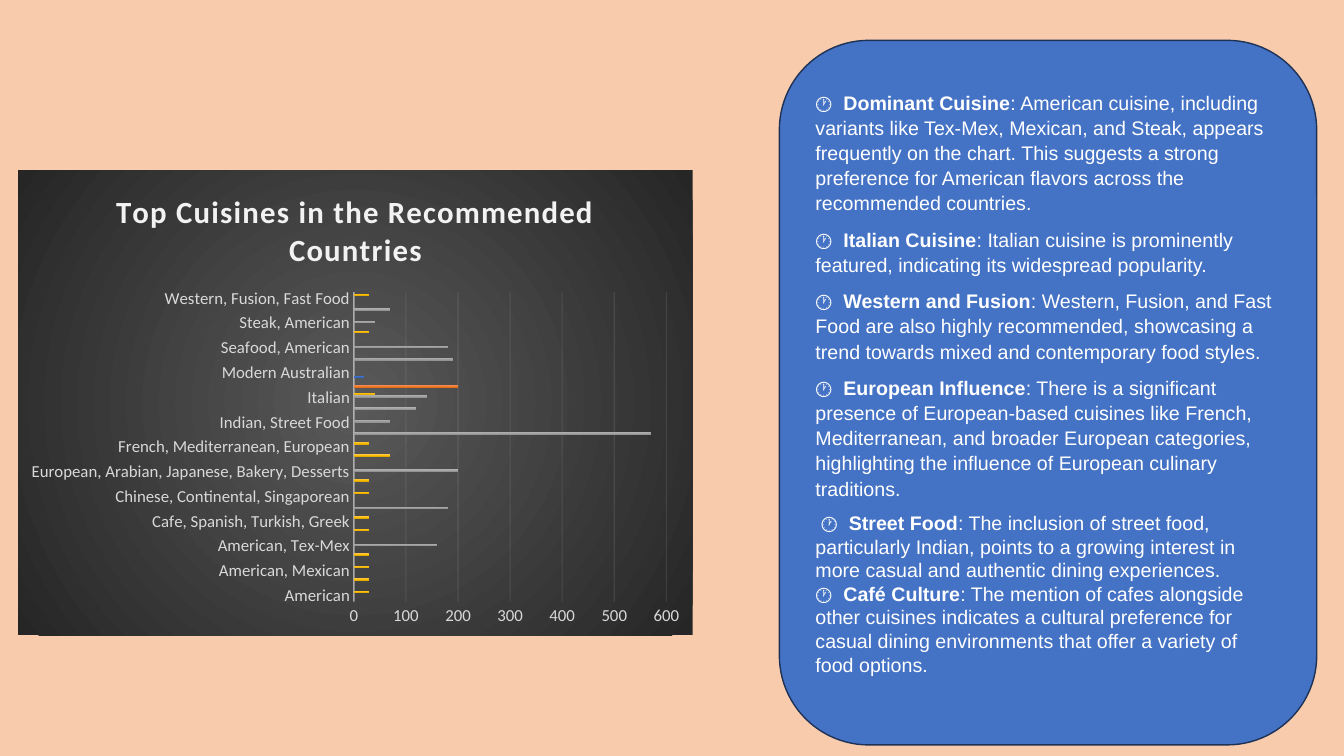
from dataclasses import dataclass
from lxml import etree
from pptx import Presentation
from pptx.chart.data import CategoryChartData as Data
from pptx.dml.color import RGBColor as Rgb
from pptx.enum.chart import XL_CHART_TYPE as Kind, XL_TICK_MARK as Tick
from pptx.enum.shapes import MSO_SHAPE as Shape
from pptx.enum.text import MSO_ANCHOR as Anchor, PP_ALIGN as Align
from pptx.oxml import parse_xml
from pptx.oxml.ns import qn
from pptx.util import Inches, Pt


@dataclass(frozen=True)
class Theme:
    back: str = "F8CBAD"
    card: str = "4472C4"
    edge: str = "1E3256"
    white: str = "FFFFFF"
    title: str = "F2F2F2"
    label: str = "D9D9D9"
    dark: tuple = ("595959", "262626")
    bars: tuple = (("6183CB", "3E70CA", "3062BB"),
                   ("F18C57", "F67B28", "E56C19"),
                   ("AFAFAF", "A5A5A5", "939393"),
                   ("FFC64B", "FFC000", "E3AB00"))
    body_font: str = "Arial"
    chart_font: str = "Calibri"
    title_size: int = 22
    label_size: int = 12
    body_size: int = 14


THEME = Theme()
TITLE = "Top Cuisines in the Recommended Countries"

# Cuisine, then {series number: value}
CUISINES = [
    ("American", {4: 30}),
    ("American, Japanese, Singaporean", {4: 30}),
    ("American, Mexican", {4: 30}),
    ("American, Steak", {4: 30}),
    ("American, Tex-Mex", {3: 160}),
    ("Asian, Continental, Seafood", {4: 30}),
    ("Cafe, Spanish, Turkish, Greek", {4: 30}),
    ("Chinese", {3: 180}),
    ("Chinese, Continental, Singaporean", {4: 30}),
    ("Chinese, Seafood, Cantonese, Dim Sum", {4: 30}),
    ("European, Arabian, Japanese, Bakery, Desserts", {3: 200}),
    ("French", {4: 70}),
    ("French, Mediterranean, European", {4: 30}),
    ("Indian", {3: 570}),
    ("Indian, Street Food", {3: 70}),
    ("International", {3: 120}),
    ("Italian", {3: 140, 4: 40}),
    ("Italian, Mediterranean, Pizza", {2: 200}),
    ("Modern Australian", {1: 20}),
    ("Pakistani", {3: 190}),
    ("Seafood, American", {3: 180}),
    ("Singaporean, Australian, German", {4: 30}),
    ("Steak, American", {3: 40}),
    ("Thai", {3: 70}),
    ("Western, Fusion, Fast Food", {4: 30}),
]

# Mark, heading, text, spaced out or tight
NOTES = [
    ("🕐  ", "Dominant Cuisine",
     "American cuisine, including variants like Tex-Mex, Mexican, and Steak, "
     "appears frequently on the chart. This suggests a strong preference for "
     "American flavors across the recommended countries.", True),
    ("🕐  ", "Italian Cuisine",
     "Italian cuisine is prominently featured, indicating its widespread "
     "popularity.", True),
    ("🕐  ", "Western and Fusion",
     "Western, Fusion, and Fast Food are also highly recommended, showcasing "
     "a trend towards mixed and contemporary food styles.", True),
    ("🕐  ", "European Influence",
     "There is a significant presence of European-based cuisines like French, "
     "Mediterranean, and broader European categories, highlighting the "
     "influence of European culinary traditions.", True),
    (" 🕐  ", "Street Food",
     "The inclusion of street food, particularly Indian, points to a growing "
     "interest in more casual and authentic dining experiences.", False),
    ("🕐  ", "Café Culture",
     "The mention of cafes alongside other cuisines indicates a cultural "
     "preference for casual dining environments that offer a variety of food "
     "options.", False),
]


def set_font(font, name, size, color, bold=False):
    font.name, font.size, font.bold = name, Pt(size), bold
    font.color.rgb = Rgb.from_string(color)


def blend(colors, shade):
    """Gradient fill with evenly spaced colours."""
    step = 100000 // (len(colors) - 1)
    stops = "".join(f'<a:gs pos="{i * step}"><a:srgbClr val="{c}"/></a:gs>'
                    for i, c in enumerate(colors))
    return parse_xml(
        '<a:gradFill xmlns:a="http://schemas.openxmlformats.org/drawingml/'
        f'2006/main" rotWithShape="1"><a:gsLst>{stops}</a:gsLst>{shade}'
        '</a:gradFill>')


def set_line(line, color, width, alpha):
    line.width = Pt(width)
    line.fill.solid()
    line.fill.fore_color.rgb = Rgb.from_string(color)
    tone = line._ln.find(".//" + qn("a:srgbClr"))
    etree.SubElement(tone, qn("a:alpha")).set("val", str(alpha * 1000))


def style_axes(chart):
    for axis in (chart.category_axis, chart.value_axis):
        axis.major_tick_mark = axis.minor_tick_mark = Tick.NONE
        set_font(axis.tick_labels.font, THEME.chart_font,
                 THEME.label_size, THEME.label)
    set_line(chart.category_axis.format.line, THEME.title, 1, 54)
    scale = chart.value_axis
    scale.minimum_scale, scale.maximum_scale, scale.major_unit = 0, 600, 100
    scale.format.line.fill.background()
    scale.has_major_gridlines = True
    set_line(scale.major_gridlines.format.line, THEME.title, 0.75, 10)


def add_bars(slide, box):
    data = Data()
    data.categories = [name for name, _ in CUISINES]
    for n in range(1, len(THEME.bars) + 1):
        data.add_series(f"Series {n}", [row.get(n) for _, row in CUISINES])
    chart = slide.shapes.add_chart(Kind.BAR_CLUSTERED, *box, data).chart
    chart.has_legend = False
    chart.font.name = THEME.chart_font

    chart.has_title = True
    chart.chart_title.include_in_layout = False
    run = chart.chart_title.text_frame.paragraphs[0].add_run()
    run.text = TITLE
    set_font(run.font, THEME.chart_font, THEME.title_size, THEME.title, True)
    run.font._element.set("spc", "100")

    plot = chart.plots[0]
    plot.gap_width, plot.overlap, plot.vary_by_categories = 115, -20, False
    for series, colors in zip(plot.series, THEME.bars):
        series.invert_if_negative = False
        props = series._element.get_or_add_spPr()
        props.insert(0, blend(colors, '<a:lin ang="5400000" scaled="0"/>'))
    style_axes(chart)

    space = chart._chartSpace
    props = etree.Element(qn("c:spPr"))
    props.append(blend(THEME.dark, '<a:path path="circle"><a:fillToRect '
                       'l="50000" t="50000" r="50000" b="50000"/></a:path>'))
    etree.SubElement(etree.SubElement(props, qn("a:ln")), qn("a:noFill"))
    space.find(qn("c:chart")).addnext(props)


def add_notes(slide, box):
    card = slide.shapes.add_shape(Shape.ROUNDED_RECTANGLE, *box)
    card.shadow.inherit = False
    card.fill.solid()
    card.fill.fore_color.rgb = Rgb.from_string(THEME.card)
    card.line.color.rgb = Rgb.from_string(THEME.edge)
    card.line.width = Pt(1)
    frame = card.text_frame
    frame.word_wrap = True
    frame.vertical_anchor = Anchor.MIDDLE
    frame.margin_bottom = Inches(0.25)
    for i, (mark, head, text, loose) in enumerate(NOTES):
        para = frame.add_paragraph() if i else frame.paragraphs[0]
        para.alignment = Align.LEFT
        if loose:
            para.line_spacing, para.space_after = 1.07, Pt(8)
        for part, bold in ((mark, False), (head, True), (": " + text, False)):
            run = para.add_run()
            run.text = part
            set_font(run.font, THEME.body_font, THEME.body_size,
                     THEME.white, bold)


def main():
    deck = Presentation()
    deck.slide_width, deck.slide_height = Inches(13.33), Inches(7.5)
    slide = deck.slides.add_slide(deck.slide_layouts[6])
    slide.background.fill.solid()
    slide.background.fill.fore_color.rgb = Rgb.from_string(THEME.back)
    add_bars(slide, [Inches(n) for n in (0.18, 1.69, 6.69, 4.61)])
    add_notes(slide, [Inches(n) for n in (7.73, 0.4, 5.33, 6.99)])
    deck.save("out.pptx")


if __name__ == "__main__":
    main()
